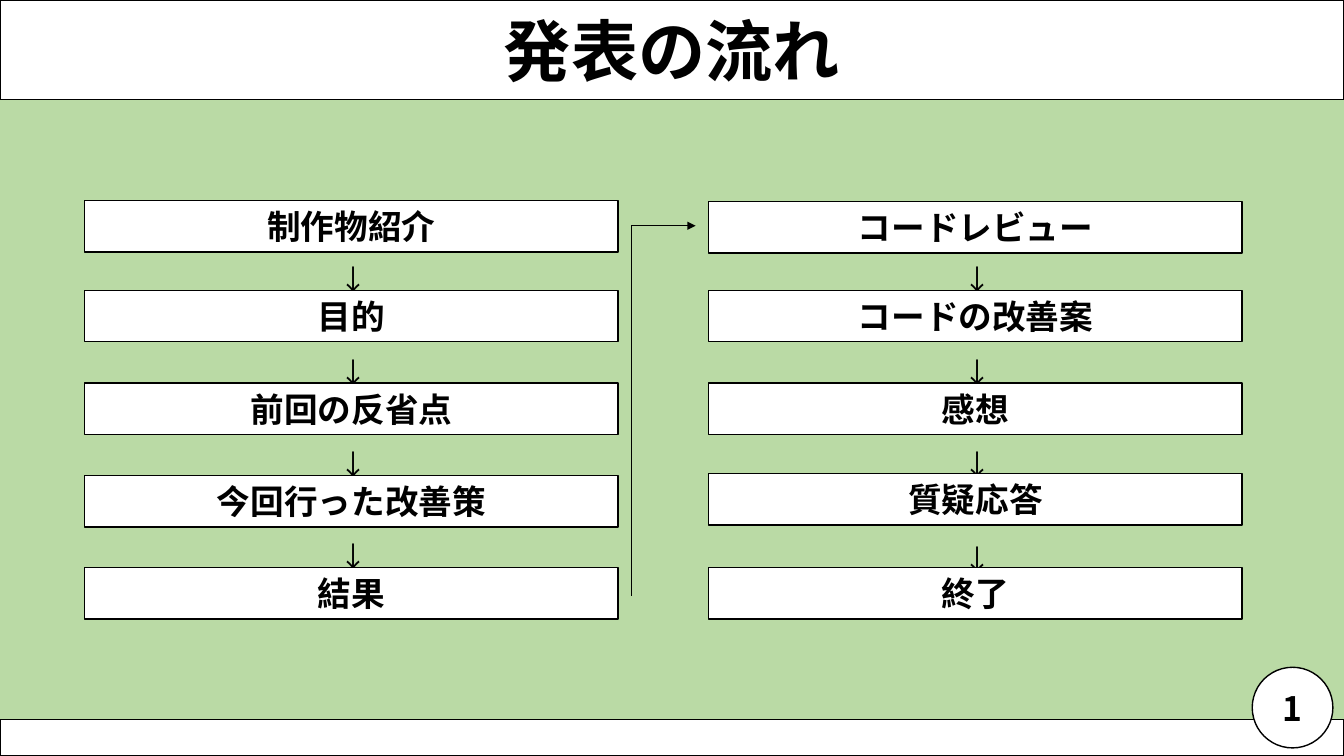
from dataclasses import dataclass
from lxml import etree
from pptx import Presentation
from pptx.dml.color import RGBColor
from pptx.enum.shapes import MSO_CONNECTOR, MSO_SHAPE
from pptx.enum.text import MSO_ANCHOR, PP_ALIGN
from pptx.oxml.ns import qn
from pptx.util import Inches, Pt

RECT, OVAL = MSO_SHAPE.RECTANGLE, MSO_SHAPE.OVAL
ELBOW = MSO_CONNECTOR.ELBOW
MIDDLE, TOP = MSO_ANCHOR.MIDDLE, MSO_ANCHOR.TOP
CENTER, LEFT = PP_ALIGN.CENTER, PP_ALIGN.LEFT


@dataclass(frozen=True)
class Theme:
    font: str = "Noto Sans CJK JP"
    ink: RGBColor = RGBColor(0, 0, 0)
    paper: RGBColor = RGBColor(255, 255, 255)
    green: RGBColor = RGBColor(0xBA, 0xDA, 0xA5)
    title: int = 48
    step: int = 24
    arrow: int = 20
    edge: float = 1
    thin: float = 0.5


def apply(target, values):
    for name, value in values.items():
        setattr(target, name, value)


class Deck:
    def __init__(self, theme, show):
        self.theme = theme
        self.slide = show.slides.add_slide(show.slide_layouts[6])
        fill = self.slide.background.fill
        fill.solid()
        fill.fore_color.rgb = theme.green

    def label(self, shape, text, size, bold, anchor, align, **space):
        frame = shape.text_frame
        apply(frame, {"word_wrap": True, "vertical_anchor": anchor})
        para = frame.paragraphs[0]
        apply(para, {"alignment": align, **space})
        run = para.add_run()
        run.text = text
        apply(run.font, {"name": self.theme.font, "size": Pt(size), "bold": bold})
        run.font.color.rgb = self.theme.ink
        east = etree.SubElement(run._r.get_or_add_rPr(), qn("a:ea"))
        east.set("typeface", self.theme.font)

    def stroke(self, line, width):
        line.color.rgb = self.theme.ink
        line.width = Pt(width)

    def box(self, area, text="", size=0, kind=RECT):
        shape = self.slide.shapes.add_shape(kind, *map(Inches, area))
        shape.shadow.inherit = False
        shape.fill.solid()
        shape.fill.fore_color.rgb = self.theme.paper
        self.stroke(shape.line, self.theme.edge)
        if text:
            self.label(shape, text, size, True, MIDDLE, CENTER)

    def arrow(self, left, top):
        area = map(Inches, (left, top, 0.47, 0.98))
        shape = self.slide.shapes.add_textbox(*area)
        self.label(shape, "↓", self.theme.arrow, False, TOP, LEFT,
                   line_spacing=2.0, space_before=Pt(10))

    def elbow(self, start, end):
        link = self.slide.shapes.add_connector(ELBOW, *map(Inches, start + end))
        self.stroke(link.line, self.theme.thin)
        props = link._element.spPr
        shape = props.find(qn("a:prstGeom"))
        guides = shape.find(qn("a:avLst"))
        etree.SubElement(guides, qn("a:gd"), name="adj1", fmla="val 0")
        etree.SubElement(props.find(qn("a:ln")), qn("a:tailEnd"), type="triangle")
        etree.SubElement(props, qn("a:effectLst"))


WIDE, HIGH = 13.33, 7.5
COLUMNS = (
    (0.84, (2.22, 3.14, 4.06, 4.97), (
        ("制作物紹介", 1.99), ("目的", 2.88), ("前回の反省点", 3.8),
        ("今回行った改善策", 4.72), ("結果", 5.63))),
    (7.03, (2.22, 3.14, 4.06, 5), (
        ("コードレビュー", 2), ("コードの改善案", 2.88), ("感想", 3.8),
        ("質疑応答", 4.7), ("終了", 5.63))),
)

show = Presentation()
apply(show, {"slide_width": Inches(WIDE), "slide_height": Inches(HIGH)})
theme = Theme()
deck = Deck(theme, show)

deck.box((0, 0, WIDE, 0.99), "発表の流れ", theme.title)
deck.box((0, 7.14, WIDE, 0.36))
deck.box((12.42, 6.62, 0.8, 0.8), "1", theme.step, OVAL)

for left, arrows, steps in COLUMNS:
    for top in arrows:
        deck.arrow(left + 2.43, top)
    for text, top in steps:
        deck.box((left, top, 5.29, 0.51), text, theme.step)

deck.elbow((6.26, 5.91), (6.9, 2.24))

show.save("out.pptx")
